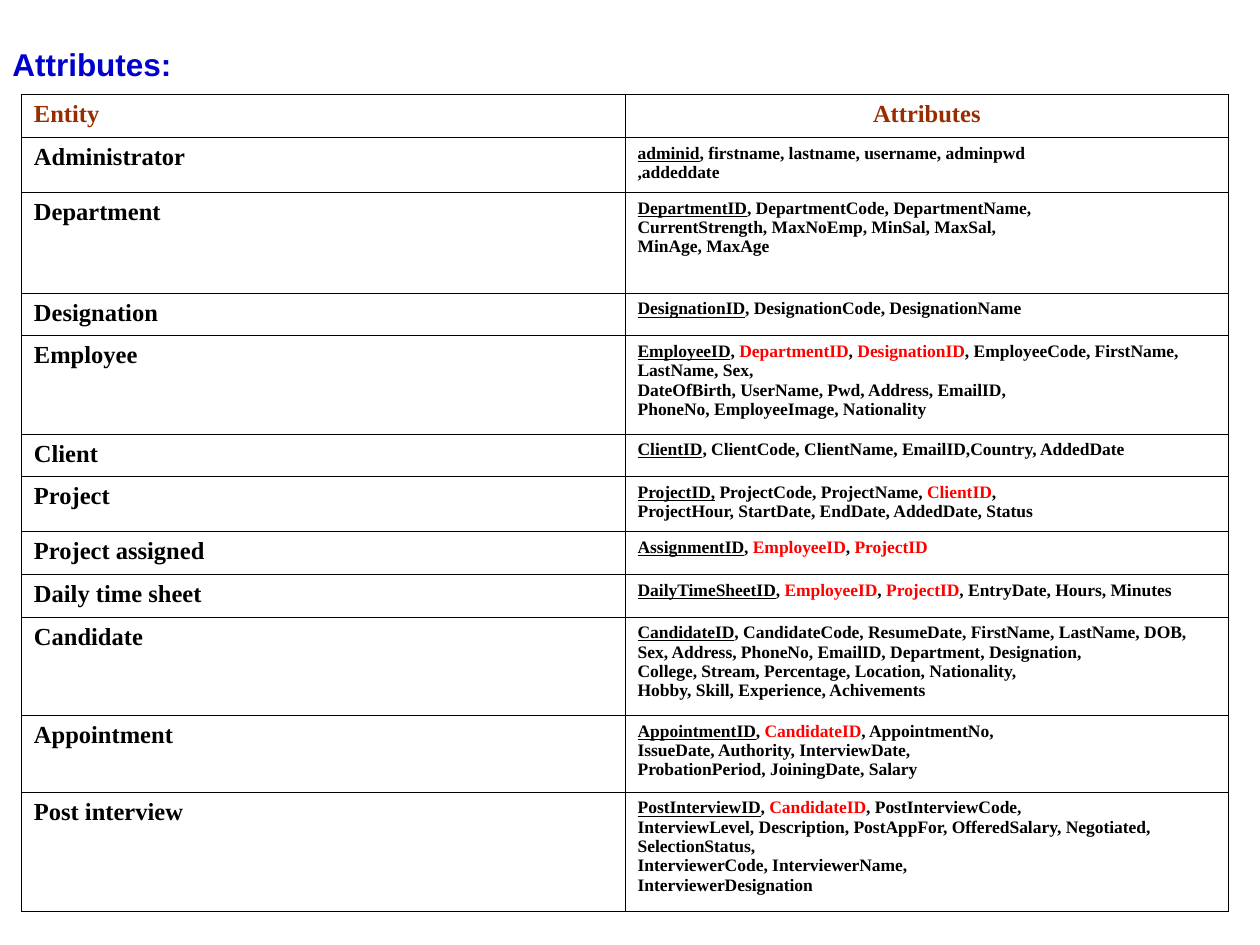
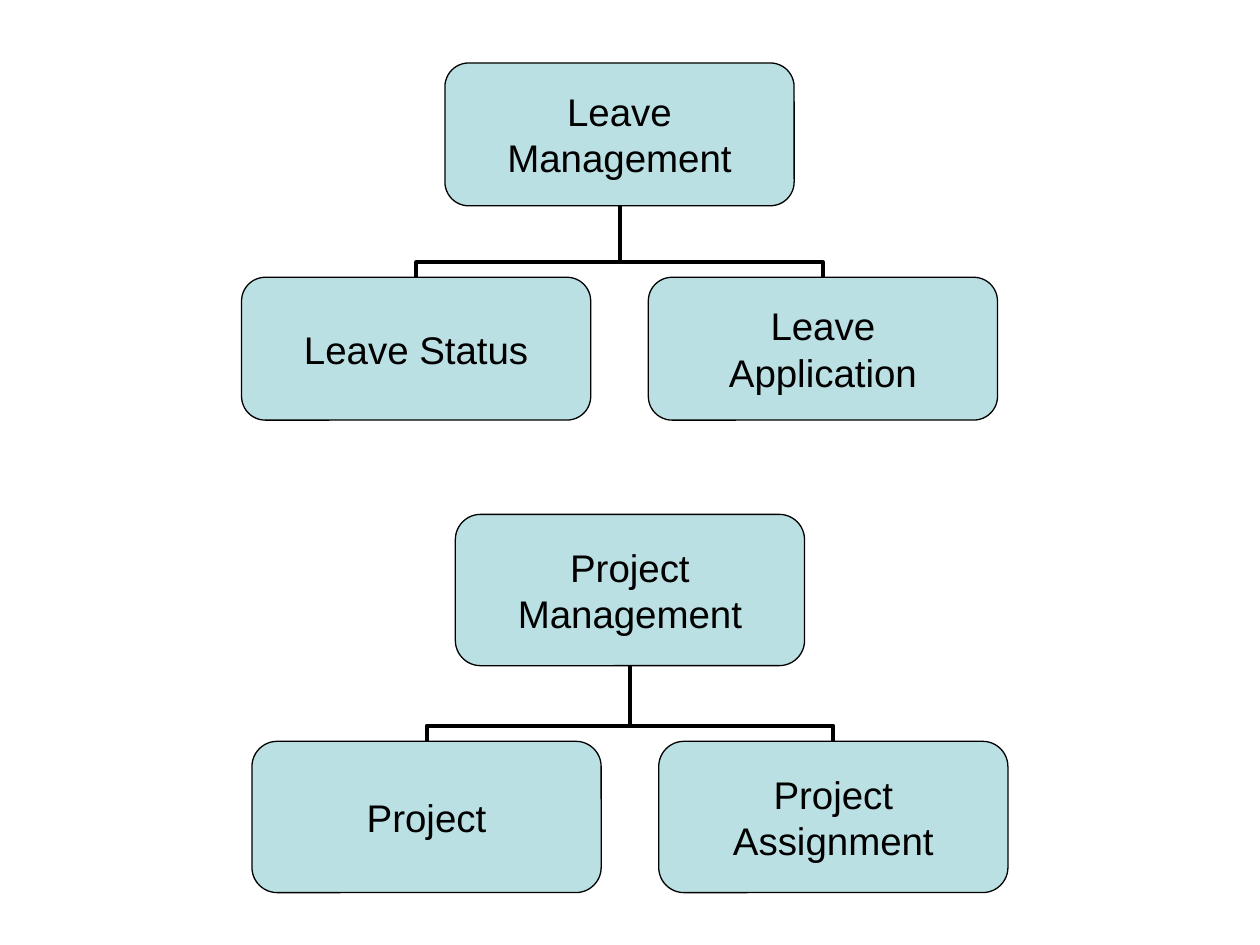
import pptx
import pptx.dml.color
import pptx.enum.shapes
import pptx.enum.text
import pptx.oxml
import pptx.oxml.ns
import pptx.util

Cm = pptx.util.Cm
Pt = pptx.util.Pt
RGBColor = pptx.dml.color.RGBColor
ALIGN = pptx.enum.text.PP_ALIGN
ANCHOR = pptx.enum.text.MSO_ANCHOR
qn = pptx.oxml.ns.qn

BLACK = RGBColor(0x00, 0x00, 0x00)
TITLE_BLUE = RGBColor(0x00, 0x00, 0xCC)
HEADER_BROWN = RGBColor(0x99, 0x2D, 0x00)
FOREIGN_KEY_RED = RGBColor(0xFF, 0x00, 0x00)
BOX_TEAL = RGBColor(0xBB, 0xE0, 0xE3)

SANS = "Arial"
SERIF = "Times New Roman"

ENTITIES = [
    ("Administrator", 1.11, [
        "adminid|, firstname, lastname, username, adminpwd",
        ",addeddate"]),
    ("Department", 2.03, [
        "DepartmentID|, DepartmentCode, DepartmentName,",
        "CurrentStrength, MaxNoEmp, MinSal, MaxSal,",
        "MinAge, MaxAge"]),
    ("Designation", 0.86, [
        "DesignationID|, DesignationCode, DesignationName"]),
    ("Employee", 1.98, [
        "EmployeeID|, |DepartmentID|, |DesignationID|, EmployeeCode, FirstName, LastName, Sex,",
        "DateOfBirth, UserName, Pwd, Address, EmailID,",
        "PhoneNo, EmployeeImage, Nationality"]),
    ("Client", 0.86, [
        "ClientID|, ClientCode, ClientName, EmailID,Country, AddedDate"]),
    ("Project", 1.11, [
        "ProjectID,| ProjectCode, ProjectName, |ClientID|,",
        "ProjectHour, StartDate, EndDate, AddedDate, Status"]),
    ("Project assigned", 0.86, [
        "AssignmentID|, |EmployeeID|, |ProjectID"]),
    ("Daily time sheet", 0.86, [
        "DailyTimeSheetID|, |EmployeeID|, |ProjectID|, EntryDate, Hours, Minutes"]),
    ("Candidate", 1.98, [
        "CandidateID|, CandidateCode, ResumeDate, FirstName, LastName, DOB, "
        "Sex, Address, PhoneNo, EmailID, Department, Designation,",
        "College, Stream, Percentage, Location, Nationality,",
        "Hobby, Skill, Experience, Achivements"]),
    ("Appointment", 1.55, [
        "AppointmentID|, |CandidateID|, AppointmentNo,",
        "IssueDate, Authority, InterviewDate,",
        "ProbationPeriod, JoiningDate, Salary"]),
    ("Post interview", 2.41, [
        "PostInterviewID|, |CandidateID|, PostInterviewCode,",
        "InterviewLevel, Description, PostAppFor, OfferedSalary, Negotiated, SelectionStatus,",
        "InterviewerCode, InterviewerName,",
        "InterviewerDesignation"]),
]


class Deck:
    box_width = 7.04
    child_offset = 4.1
    elbow_share = 20800

    def __init__(self):
        self.presentation = pptx.Presentation()
        self.presentation.slide_width = Cm(25.4)
        self.presentation.slide_height = Cm(19.05)
        self.slide = None

    def new_slide(self):
        self.slide = self.presentation.slides.add_slide(self.presentation.slide_layouts[6])

    def style(self, text_frame, font, size, color, bold=False, align=ALIGN.LEFT):
        for paragraph in text_frame.paragraphs:
            paragraph.alignment = align
            for run in paragraph.runs:
                run.font.name = font
                run.font.size = Pt(size)
                run.font.bold = bold
                run.font.color.rgb = color

    def title(self, text):
        shape = self.slide.shapes.add_textbox(0, Cm(0.74), Cm(3.73), Cm(1.78))
        text_frame = shape.text_frame
        text_frame.word_wrap = False
        text_frame.margin_top = Cm(0.16)
        text_frame.text = text
        self.style(text_frame, SANS, 18, TITLE_BLUE, bold=True)

    def attributes(self, text_frame, lines):
        text_frame.text = "\n".join(lines)
        paragraph = text_frame.paragraphs[0]
        key, *others = lines[0].split("|")
        paragraph.text = key
        for text in others:
            paragraph.add_run().text = text
        self.style(text_frame, SERIF, 10, BLACK, bold=True)
        paragraph.runs[0].font.underline = True
        for run in paragraph.runs[2::2]:
            run.font.color.rgb = FOREIGN_KEY_RED

    def borders(self, cell):
        properties = cell._tc.get_or_add_tcPr()
        for side in ("a:lnL", "a:lnR", "a:lnT", "a:lnB"):
            line = properties.makeelement(qn(side), {"w": str(Pt(0.45))})
            fill = line.makeelement(qn("a:solidFill"), {})
            fill.append(fill.makeelement(qn("a:srgbClr"), {"val": str(BLACK)}))
            line.append(fill)
            properties.append(line)

    def entity_table(self, entities):
        header_height = 0.86
        total = header_height + sum(height for _, height, _ in entities)
        frame = self.slide.shapes.add_table(
            len(entities) + 1, 2, Cm(0.43), Cm(1.91), Cm(24.34), Cm(total))
        table = frame.table
        table.first_row = False
        table.horz_banding = False
        for cell in table.iter_cells():
            self.borders(cell)
            cell.fill.background()
        table.rows[0].height = Cm(header_height)
        for column, (heading, align) in enumerate(
                [("Entity", ALIGN.LEFT), ("Attributes", ALIGN.CENTER)]):
            text_frame = table.cell(0, column).text_frame
            text_frame.text = heading
            self.style(text_frame, SERIF, 14, HEADER_BROWN, bold=True, align=align)
        for row, (entity, height, lines) in enumerate(entities, 1):
            table.rows[row].height = Cm(height)
            text_frame = table.cell(row, 0).text_frame
            text_frame.text = entity
            self.style(text_frame, SERIF, 14, BLACK, bold=True)
            self.attributes(table.cell(row, 1).text_frame, lines)

    def box(self, center, top, height, text):
        shape = self.slide.shapes.add_shape(
            pptx.enum.shapes.MSO_SHAPE.ROUNDED_RECTANGLE,
            Cm(center - self.box_width / 2), Cm(top), Cm(self.box_width), Cm(height))
        shape.shadow.inherit = False
        shape.fill.solid()
        shape.fill.fore_color.rgb = BOX_TEAL
        shape.line.color.rgb = BLACK
        shape.line.width = Pt(0.75)
        text_frame = shape.text_frame
        text_frame.word_wrap = False
        text_frame.vertical_anchor = ANCHOR.MIDDLE
        text_frame.margin_left = text_frame.margin_right = 0
        text_frame.margin_top = text_frame.margin_bottom = 0
        text_frame.text = text
        self.style(text_frame, SANS, 22, BLACK, align=ALIGN.CENTER)
        return shape

    def branch(self, child, parent):
        connector = self.slide.shapes.add_connector(
            pptx.enum.shapes.MSO_CONNECTOR.ELBOW, 0, 0, 0, 0)
        connector.begin_connect(child, 0)
        connector.end_connect(parent, 2)
        child_x = child.left + child.width // 2
        parent_x = parent.left + parent.width // 2
        parent_bottom = parent.top + parent.height
        rise = child.top - parent_bottom
        span = abs(child_x - parent_x)
        connector.left = (child_x + parent_x - rise) // 2
        connector.top = (child.top + parent_bottom - span) // 2
        connector.width, connector.height = rise, span
        on_left = child_x < parent_x
        properties = connector._element.spPr
        transform = properties.find(qn("a:xfrm"))
        transform.set("rot", "5400000" if on_left else "16200000")
        transform.set("flipH", "1" if on_left else "0")
        transform.set("flipV", "1")
        adjustments = properties.find(qn("a:prstGeom")).find(qn("a:avLst"))
        adjustments.append(adjustments.makeelement(
            qn("a:gd"), {"name": "adj1", "fmla": f"val {self.elbow_share}"}))
        connector.line.color.rgb = BLACK
        connector.line.width = Pt(2.25)
        properties.append(properties.makeelement(qn("a:effectLst"), {}))

    def tree(self, center, top, height, root, children):
        parent = self.box(center, top, height, root)
        for side, text in zip((-1, 1), children):
            child = self.box(
                center + side * self.child_offset, top + 1.5 * height, height, text)
            self.branch(child, parent)


def main():
    deck = Deck()
    deck.new_slide()
    deck.title("Attributes:")
    deck.entity_table(ENTITIES)
    deck.new_slide()
    deck.tree(12.49, 1.27, 2.88, "Leave\nManagement",
              ["Leave Status", "Leave\nApplication"])
    deck.tree(12.7, 10.37, 3.05, "Project\nManagement",
              ["Project", "Project\nAssignment"])
    deck.presentation.save("out.pptx")


if __name__ == "__main__":
    main()
